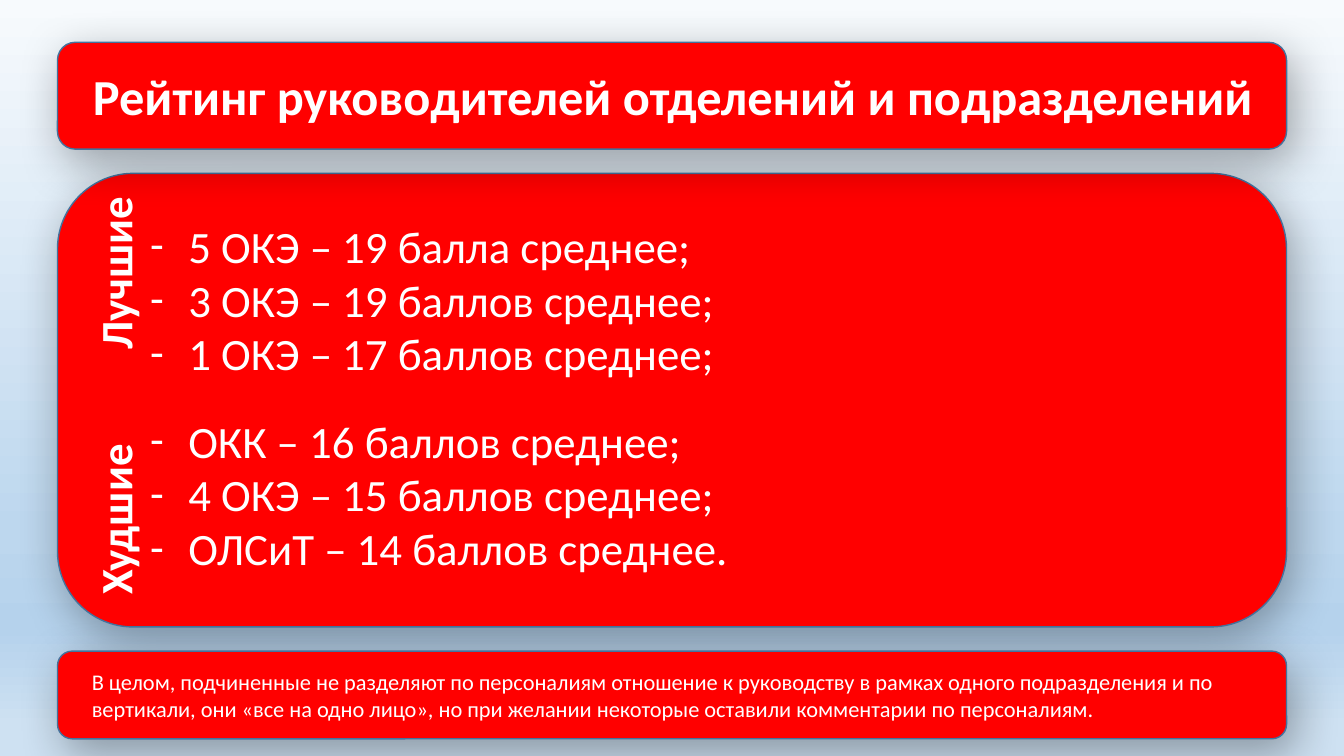
from lxml import etree
from pptx import Presentation
from pptx.dml.color import RGBColor
from pptx.enum import shapes, text
from pptx.oxml import parse_xml
from pptx.oxml.ns import nsdecls, qn
from pptx.util import Inches, Pt

FONT = "Calibri"
RED, EDGE, WHITE = "FF0000", "43739E", "FFFFFF"
SKY = [(0, "F7FAFD"), (70, "BDD7EE"), (83, "B5D2EC"), (96, "CEE1F2")]
LEFT, WIDTH = 0.57, 12.19

TITLE = "Рейтинг руководителей отделений и подразделений"
BEST = ["5 ОКЭ – 19 балла среднее;", "3 ОКЭ – 19 баллов среднее;",
        "1 ОКЭ – 17 баллов среднее;"]
WORST = ["ОКК – 16 баллов среднее;", "4 ОКЭ – 15 баллов среднее;",
         "ОЛСиТ – 14 баллов среднее."]
SUMMARY = ("В целом, подчиненные не разделяют по персоналиям отношение к руководству "
           "в рамках одного подразделения и по вертикали, они «все на одно лицо», "
           "но при желании некоторые оставили комментарии по персоналиям.")


def color(hex_code):
    return RGBColor.from_string(hex_code)


def style(paragraph, size, bold=False):
    paragraph.alignment = text.PP_ALIGN.LEFT
    for run in paragraph.runs:
        run.font.name = FONT
        run.font.size = Pt(size)
        run.font.bold = bold
        run.font.color.rgb = color(WHITE)


def indent(paragraph, left, first=0):
    properties = paragraph._p.get_or_add_pPr()
    properties.set("marL", str(Inches(left)))
    properties.set("indent", str(Inches(first)))
    return properties


def paint_background(slide):
    stops = "".join(f'<a:gs pos="{at * 1000}"><a:srgbClr val="{tone}"/></a:gs>'
                    for at, tone in SKY)
    slide._element.cSld.insert(0, parse_xml(
        f'<p:bg {nsdecls("p", "a")}><p:bgPr><a:gradFill rotWithShape="1">'
        f'<a:gsLst>{stops}</a:gsLst><a:lin ang="5400000" scaled="0"/></a:gradFill>'
        '<a:effectLst/></p:bgPr></p:bg>'))


def add_panel(slide, top, height):
    panel = slide.shapes.add_shape(
        shapes.MSO_SHAPE.ROUNDED_RECTANGLE,
        Inches(LEFT), Inches(top), Inches(WIDTH), Inches(height))
    panel.fill.solid()
    panel.fill.fore_color.rgb = color(RED)
    panel.line.color.rgb = color(EDGE)
    panel.line.width = Pt(1)
    # Soft drop shadow
    panel.shadow.inherit = False
    effects = panel._element.spPr.find(qn("a:effectLst"))
    effects.append(parse_xml(
        f'<a:outerShdw {nsdecls("a")} blurRad="{Pt(33)}" dist="{Pt(10)}" '
        f'dir="{64 * 60000}" algn="tl" rotWithShape="0">'
        '<a:srgbClr val="000000"><a:alpha val="33000"/></a:srgbClr></a:outerShdw>'))
    panel.text_frame.word_wrap = True
    panel.text_frame.vertical_anchor = text.MSO_ANCHOR.MIDDLE
    return panel


def add_banner(slide, top, height, wording, size, bold=False):
    frame = add_panel(slide, top, height).text_frame
    frame.text = wording
    style(frame.paragraphs[0], size, bold)
    indent(frame.paragraphs[0], 0.2)


def add_group_label(slide, top, height, wording):
    label = slide.shapes.add_textbox(
        Inches(LEFT + 0.25), Inches(top), Inches(0.74), Inches(height))
    frame = label.text_frame
    frame.text = wording
    frame.word_wrap = False
    frame.auto_size = text.MSO_AUTO_SIZE.SHAPE_TO_FIT_TEXT
    frame._txBody.bodyPr.set("vert", "vert270")
    style(frame.paragraphs[0], 32, True)


def add_ranking(slide, top, height):
    frame = add_panel(slide, top, height).text_frame
    frame.margin_bottom = Inches(0.12)
    frame.text = "\n".join(BEST + WORST)
    for paragraph in frame.paragraphs:
        style(paragraph, 32)
        properties = indent(paragraph, 0.98, -0.38)
        etree.SubElement(properties, qn("a:buFont")).set("typeface", FONT)
        etree.SubElement(properties, qn("a:buChar")).set("char", "-")
    # Gap between the two groups
    frame.paragraphs[len(BEST)].space_before = Pt(24)
    add_group_label(slide, top + 0.22, 1.63, "Лучшие")
    add_group_label(slide, top + 2.67, 1.61, "Худшие")


def main():
    deck = Presentation()
    deck.slide_width, deck.slide_height = Inches(13.33), Inches(7.5)
    slide = deck.slides.add_slide(deck.slide_layouts[6])
    paint_background(slide)
    add_ranking(slide, 1.72, 4.5)
    add_banner(slide, 0.42, 1.06, TITLE, 36, True)
    add_banner(slide, 6.46, 0.87, SUMMARY, 16)
    deck.save("out.pptx")


if __name__ == "__main__":
    main()
